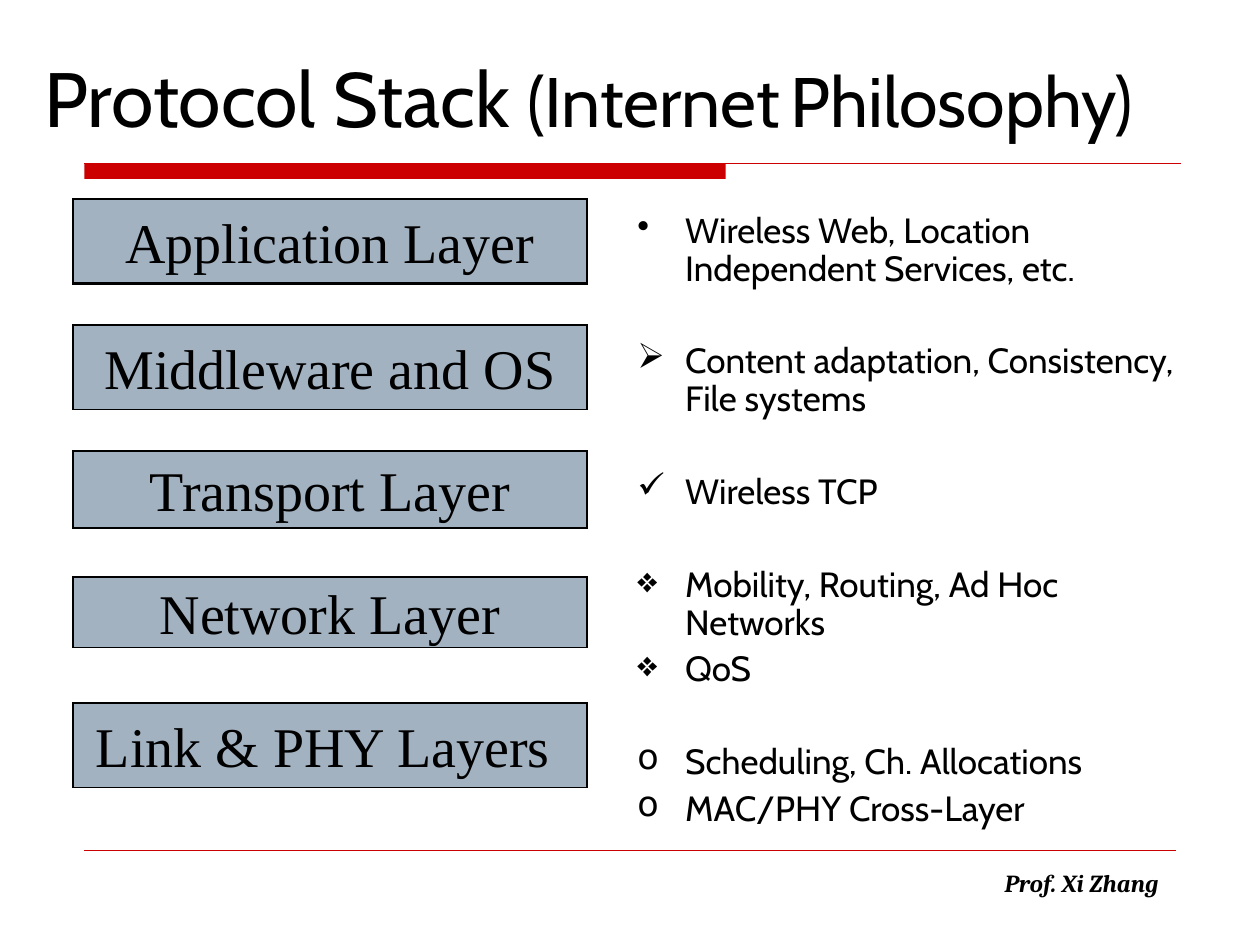
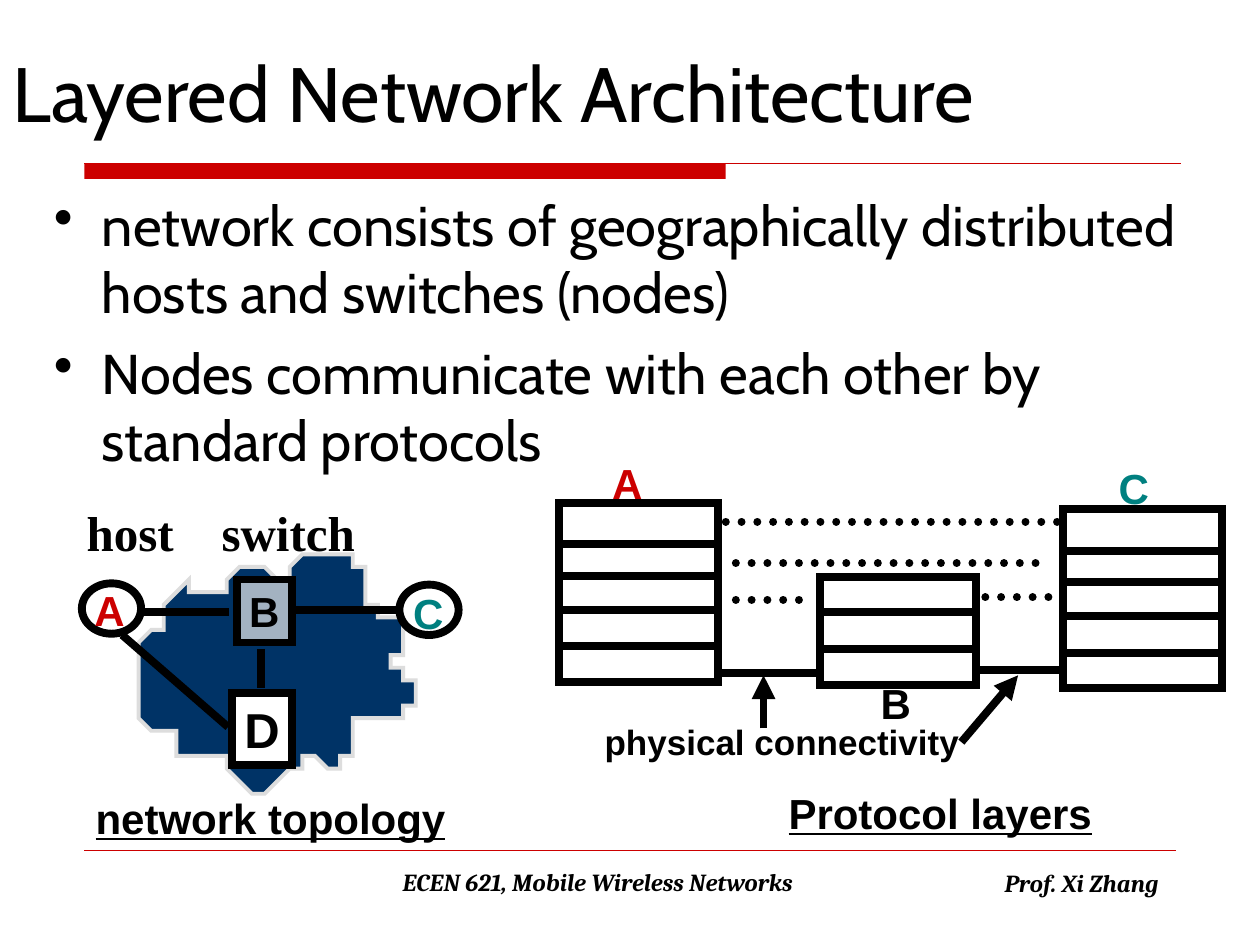
"""Two slides on protocol stacks and layered network architecture."""
from dataclasses import dataclass, field
from typing import NamedTuple, Optional

from lxml import etree
from pptx import Presentation
from pptx.dml.color import RGBColor
from pptx.enum.dml import MSO_LINE
from pptx.enum.shapes import MSO_CONNECTOR, MSO_SHAPE
from pptx.enum.text import MSO_ANCHOR, MSO_AUTO_SIZE, PP_ALIGN
from pptx.oxml.ns import qn
from pptx.util import Inches, Pt

LEFT, CENTER = PP_ALIGN.LEFT, PP_ALIGN.CENTER
TOP, MIDDLE, BOTTOM = MSO_ANCHOR.TOP, MSO_ANCHOR.MIDDLE, MSO_ANCHOR.BOTTOM
RECT, OVAL = MSO_SHAPE.RECTANGLE, MSO_SHAPE.OVAL
STRAIGHT = MSO_CONNECTOR.STRAIGHT
DOTTED = MSO_LINE.ROUND_DOT
TITLE_ONLY = 5

COLUMNS, ROWS = 100, 75
SLIDE_WIDTH, SLIDE_HEIGHT = Inches(10), Inches(7.5)
CELL = SLIDE_WIDTH // COLUMNS


def style(size: float, name: str, **extra) -> dict:
    """Return the font values of one kind of text."""
    return {"size": Pt(size), "name": name, **extra}


@dataclass(frozen=True)
class Theme:
    """Colours, line widths and type of the deck."""
    black: str = "000000"
    white: str = "FFFFFF"
    red: str = "CC0000"
    teal: str = "008080"
    navy: str = "003366"
    steel: str = "A3B2C1"
    silver: str = "DDDDDD"
    thick: float = 4.5
    thin: float = 0.75
    hairline: float = 0.25
    title: dict = field(default_factory=lambda: style(44, "Cabin"))
    subtitle: dict = field(default_factory=lambda: style(40, "Cabin"))
    title_gap: dict = field(default_factory=lambda: style(24, "Times New Roman"))
    body: dict = field(default_factory=lambda: style(32, "Cabin"))
    notes: dict = field(default_factory=lambda: style(20, "Cabin"))
    layer: dict = field(default_factory=lambda: style(32, "Times New Roman"))
    roles: dict = field(default_factory=lambda: style(28, "Times New Roman", bold=True))
    node: dict = field(default_factory=lambda: style(24, "Arial", bold=True))
    big_node: dict = field(default_factory=lambda: style(28, "Arial", bold=True))
    link: dict = field(default_factory=lambda: style(20, "Arial", bold=True))
    caption: dict = field(default_factory=lambda: style(24, "Arial", bold=True, underline=True))
    footer: dict = field(default_factory=lambda: style(14, "Cambria", bold=True, italic=True))


THEME = Theme()


class Box(NamedTuple):
    """Place and size in grid columns and rows."""
    left: float
    top: float
    width: float
    height: float

    def emu(self) -> list:
        """Return the four lengths in EMU."""
        return [round(length * CELL) for length in self]


class Wire(NamedTuple):
    """A straight line between two grid points."""
    start: tuple
    end: tuple
    dash: Optional[MSO_LINE] = None
    arrow: bool = False


class Item(NamedTuple):
    """A bulleted paragraph and the points of space before it."""
    bullet: str
    text: str
    before: float


class Label(NamedTuple):
    """A text that stands on its own."""
    box: Box
    text: str
    font: dict
    color: str = THEME.black


class Stack(NamedTuple):
    """A column of protocol layers, with the rows where it is divided."""
    box: Box
    dividers: tuple


def rgb(color: str) -> RGBColor:
    """Turn a hex string into a colour."""
    return RGBColor.from_string(color)


def apply(target, values: dict) -> None:
    """Set each named attribute of the target."""
    for name, value in values.items():
        setattr(target, name, value)


def add_run(paragraph, text: str, font: dict, color: str = THEME.black) -> None:
    """Append a formatted run."""
    run = paragraph.add_run()
    run.text = text
    apply(run.font, font)
    run.font.color.rgb = rgb(color)


def set_frame(shape, anchor=TOP, wrap: bool = True):
    """Set up the text frame and return it."""
    frame = shape.text_frame
    apply(frame, {
        "word_wrap": wrap, "auto_size": MSO_AUTO_SIZE.NONE, "vertical_anchor": anchor,
        "margin_left": CELL, "margin_right": CELL,
        "margin_top": CELL // 2, "margin_bottom": CELL // 2})
    return frame


def write(shape, text: str, font: dict, color: str = THEME.black, align=LEFT,
          anchor=TOP, before: float = 0):
    """Put one unwrapped paragraph into a shape and return it."""
    paragraph = set_frame(shape, anchor, wrap=False).paragraphs[0]
    apply(paragraph, {"alignment": align, "space_before": Pt(before)})
    add_run(paragraph, text, font, color)
    return paragraph


def add_label(slide, label: Label, **options):
    """Add a text box and return its paragraph."""
    holder = slide.shapes.add_textbox(*label.box.emu())
    return write(holder, label.text, label.font, label.color, **options)


def add_title(slide, box: Box, anchor, *runs: tuple) -> None:
    """Place the title and fill it with runs of text and font."""
    title = slide.shapes.title
    apply(title, dict(zip(("left", "top", "width", "height"), box.emu())))
    paragraph = set_frame(title, anchor).paragraphs[0]
    paragraph.alignment = LEFT
    for text, font in runs:
        add_run(paragraph, text, font)


def add_bullets(slide, box: Box, items: list, font: dict, spacing: float = 1,
                lead: float = 0.5) -> None:
    """Add a bulleted list whose text starts `lead` rows below the box top."""
    frame = set_frame(slide.shapes.add_textbox(*box.emu()))
    frame.margin_top = round(lead * CELL)
    for index, item in enumerate(items):
        paragraph = frame.add_paragraph() if index else frame.paragraphs[0]
        apply(paragraph, {"line_spacing": spacing, "space_before": Pt(item.before)})
        add_run(paragraph, item.text, font)
        properties = paragraph._p.get_or_add_pPr()
        indent = Inches(0.38)
        properties.set("marL", str(indent))
        properties.set("indent", str(-indent))
        etree.SubElement(properties, qn("a:buChar")).set("char", item.bullet)


def stroke(shape, color: str, width: float) -> None:
    """Draw the outline with sharp corners."""
    shape.line.color.rgb = rgb(color)
    shape.line.width = Pt(width)
    etree.SubElement(shape.get_or_add_ln(), qn("a:miter")).set("lim", "800000")


def add_block(slide, kind, box: Box, fill: Optional[str] = None,
              line: Optional[str] = THEME.black, width: float = THEME.thick):
    """Add a preset shape; a missing fill or line is left out."""
    block = slide.shapes.add_shape(kind, *box.emu())
    block.shadow.inherit = False
    if fill:
        block.fill.solid()
        block.fill.fore_color.rgb = rgb(fill)
    else:
        block.fill.background()
    if line:
        stroke(block, line, width)
    else:
        block.line.fill.background()
    return block


def add_wire(slide, wire: Wire, color: str = THEME.black, width: float = THEME.thick) -> None:
    """Add a line, dotted or with an arrowhead if asked."""
    ends = [round(value * CELL) for value in (*wire.start, *wire.end)]
    connector = slide.shapes.add_connector(STRAIGHT, *ends)
    connector.line.color.rgb = rgb(color)
    connector.line.width = Pt(width)
    outline = connector.get_or_add_ln()
    if wire.dash:
        connector.line.dash_style = wire.dash
        outline.set("cap", "rnd")
    if wire.arrow:
        etree.SubElement(outline, qn("a:tailEnd")).set("type", "triangle")
    etree.SubElement(connector._element.spPr, qn("a:effectLst"))


def add_stack(slide, stack: Stack) -> None:
    """Draw a stack of layers."""
    left, top, width, _ = stack.box
    add_block(slide, RECT, stack.box)
    for row in stack.dividers:
        add_wire(slide, Wire((left, top + row), (left + width, top + row)))


def smooth(points: list, steps: int = 4) -> list:
    """Run a closed Catmull-Rom curve through the points."""
    curve = []
    for i, b in enumerate(points):
        a, c, d = points[i - 1], points[(i + 1) % len(points)], points[(i + 2) % len(points)]
        for t in (step / steps for step in range(steps)):
            curve.append(tuple(
                q + t * (r - p) / 2 + t * t * (2 * p - 5 * q + 4 * r - s) / 2
                + t ** 3 * (3 * q - p - 3 * r + s) / 2
                for p, q, r, s in zip(a, b, c, d)))
    return curve


def add_cloud(slide, points: list) -> None:
    """Draw the network cloud."""
    start, *rest = smooth(points)
    builder = slide.shapes.build_freeform(*start, scale=CELL)
    builder.add_line_segments(rest, close=True)
    cloud = builder.convert_to_shape()
    cloud.shadow.inherit = False
    cloud.fill.solid()
    cloud.fill.fore_color.rgb = rgb(THEME.navy)
    stroke(cloud, THEME.silver, 2.25)


def new_slide(deck):
    """Add a slide with the red bands and the author's name."""
    slide = deck.slides.add_slide(deck.slide_layouts[TITLE_ONLY])
    add_block(slide, RECT, Box(6.7, 13, 50.9, 1.2), THEME.red, None)
    add_wire(slide, Wire((6.7, 13), (93.7, 13)), THEME.red, THEME.thin)
    add_wire(slide, Wire((6.7, 67.5), (93.3, 67.5)), THEME.red, THEME.hairline)
    author = add_label(slide, Label(Box(72.5, 66.7, 24.2, 5), "Prof. Xi Zhang", THEME.footer),
                       align=CENTER, anchor=BOTTOM)
    author._p.get_or_add_pPr().set("marL", str(Inches(0.25)))
    return slide


def protocol_stack(deck) -> None:
    """Build the slide on the Internet protocol stack."""
    slide = new_slide(deck)
    add_title(slide, Box(2.5, 3.5, 95, 8.2), TOP, ("Protocol Stack ", THEME.title),
              ("(Internet", THEME.subtitle), (" ", THEME.title_gap),
              ("Philosophy)", THEME.subtitle))
    near, far = 5, 31.5
    add_bullets(slide, Box(49.6, 11.7, 46.2, 47.9), [
        Item("•", "Wireless Web, Location Independent Services, etc.", near),
        Item("➢", "Content adaptation, Consistency, File systems", far),
        Item("✓", "Wireless TCP", far),
        Item("❖", "Mobility, Routing, Ad Hoc Networks", far),
        Item("❖", "QoS", near),
        Item("o", "Scheduling, Ch. Allocations", far),
        Item("o", "MAC/PHY Cross-Layer", near)], THEME.notes, spacing=0.9, lead=5.2)
    layers = [("Application Layer", 6.7, 1.5), ("Middleware and OS", 6.7, THEME.thin),
              ("Transport Layer", 6.1, THEME.thin), ("Network Layer", 5.6, THEME.thin),
              ("Link & PHY Layers ", 6.7, THEME.thin)]
    for index, (name, height, width) in enumerate(layers):
        box = Box(5.8, 15.8 + 10 * index, 40.8, height)
        layer = add_block(slide, RECT, box, THEME.steel, width=width)
        write(layer, name, THEME.layer, align=CENTER, anchor=MIDDLE, before=8)


CLOUD = [
    (13.8, 58.4), (13.2, 58.3), (12.9, 58.2), (11.8, 57.6), (10.7, 54.6), (10.7, 52.1),
    (10.7, 51.3), (11.6, 50.4), (12.8, 49.7), (14.2, 46.6), (16.4, 46.9), (17.4, 47.1),
    (17.7, 46.5), (18.9, 45.2), (20.2, 44.9), (21.5, 45.6), (22.4, 46.2), (23.4, 44.6),
    (24.2, 44.1), (25.7, 44.1), (27.4, 44.3), (28.6, 45), (29.4, 46.9), (29.3, 48.2),
    (29.7, 48.1), (30.3, 48.6), (31.4, 48.9), (31.7, 49.9), (31.9, 51.1), (31.4, 52.7),
    (32.2, 53.5), (32.6, 54.4), (32.7, 55.5), (32.6, 55.9), (32, 56.8), (30.6, 57.2),
    (29, 57), (28.1, 58), (27.8, 59.9), (26.5, 60.7), (24.7, 60.3), (23.9, 61),
    (20.8, 62.7), (18.1, 61.1), (17.4, 60.1), (15, 60.3), (14.1, 59.7)]


def layered_architecture(deck) -> None:
    """Build the slide on topology and protocol layers."""
    slide = new_slide(deck)
    add_label(slide, Label(Box(20.8, 68.3, 53.3, 5), "ECEN 621, Mobile Wireless Networks",
                           THEME.footer), align=CENTER)
    add_title(slide, Box(0, 1, 100, 12.5), MIDDLE,
              ("Layered Network Architecture", THEME.title))
    add_bullets(slide, Box(3.3, 14.6, 94.3, 55.7), [
        Item("•", "network consists of geographically distributed hosts and switches (nodes)", 8),
        Item("•", "Nodes communicate with each other by standard protocols", 8)], THEME.body)

    add_cloud(slide, CLOUD)
    for left, top in ((31.7, 46.4), (6.5, 46.3)):
        add_block(slide, OVAL, Box(left, top, 4.7, 4))
    switch_b = add_block(slide, RECT, Box(18.8, 46, 4.4, 5), THEME.steel)
    write(switch_b, "B", THEME.node)
    switch_d = add_block(slide, RECT, Box(18.4, 55, 4.8, 5.7), THEME.white)
    write(switch_d, "D", THEME.big_node, align=CENTER, anchor=MIDDLE)

    end_stack, middle_stack = (3.3, 5.8, 8.5, 11.4), (2.8, 5.7)
    for stack in (Stack(Box(65.1, 45.8, 12.4, 8.6), middle_stack),
                  Stack(Box(44.4, 39.9, 12.6, 14.2), end_stack),
                  Stack(Box(84.4, 40.4, 12.6, 14.2), end_stack)):
        add_stack(slide, stack)

    for wire in (
            Wire((11.3, 48.6), (18.2, 48.6)), Wire((23.3, 48.4), (31.8, 48.4)),
            Wire((20.7, 51.5), (20.7, 54.6)), Wire((9.7, 50.4), (18.1, 57.7)),
            Wire((57.2, 53.4), (64.9, 53.4)), Wire((77.8, 53.2), (84.2, 53.2)),
            Wire((57.6, 41.4), (84, 41.4), DOTTED), Wire((58.4, 44.7), (82.6, 44.7), DOTTED),
            Wire((58.4, 47.6), (63.9, 47.6), DOTTED), Wire((78.2, 47.4), (83.7, 47.4), DOTTED),
            Wire((60.6, 57.8), (60.6, 53.6), arrow=True),
            Wire((76.3, 58.9), (80.8, 53.6), arrow=True)):
        add_wire(slide, wire)

    for label in (
            Label(Box(6.5, 45.9, 4.4, 5), "A", THEME.node, THEME.red),
            Label(Box(31.8, 46.1, 4.4, 5), "C", THEME.node, THEME.teal),
            Label(Box(47.6, 35.8, 4.4, 5), "A", THEME.node, THEME.red),
            Label(Box(68.9, 53.3, 4.4, 5), "B", THEME.node),
            Label(Box(87.8, 36.2, 4.4, 5), "C", THEME.node, THEME.teal),
            Label(Box(47, 56.7, 30.1, 4.3), "physical connectivity", THEME.link),
            Label(Box(6.6, 62.4, 29.8, 5), "network topology", THEME.caption),
            Label(Box(61.6, 62, 26.1, 5), "Protocol layers", THEME.caption)):
        add_label(slide, label)
    roles = add_label(slide, Label(Box(5.9, 39.4, 23.3, 5.7), "host\tswitch", THEME.roles),
                      anchor=MIDDLE)
    stops = etree.SubElement(roles._p.get_or_add_pPr(), qn("a:tabLst"))
    etree.SubElement(stops, qn("a:tab"), pos=str(Inches(1.07)), algn="l")


deck = Presentation()
deck.slide_width, deck.slide_height = SLIDE_WIDTH, SLIDE_HEIGHT
protocol_stack(deck)
layered_architecture(deck)
deck.save("out.pptx")
